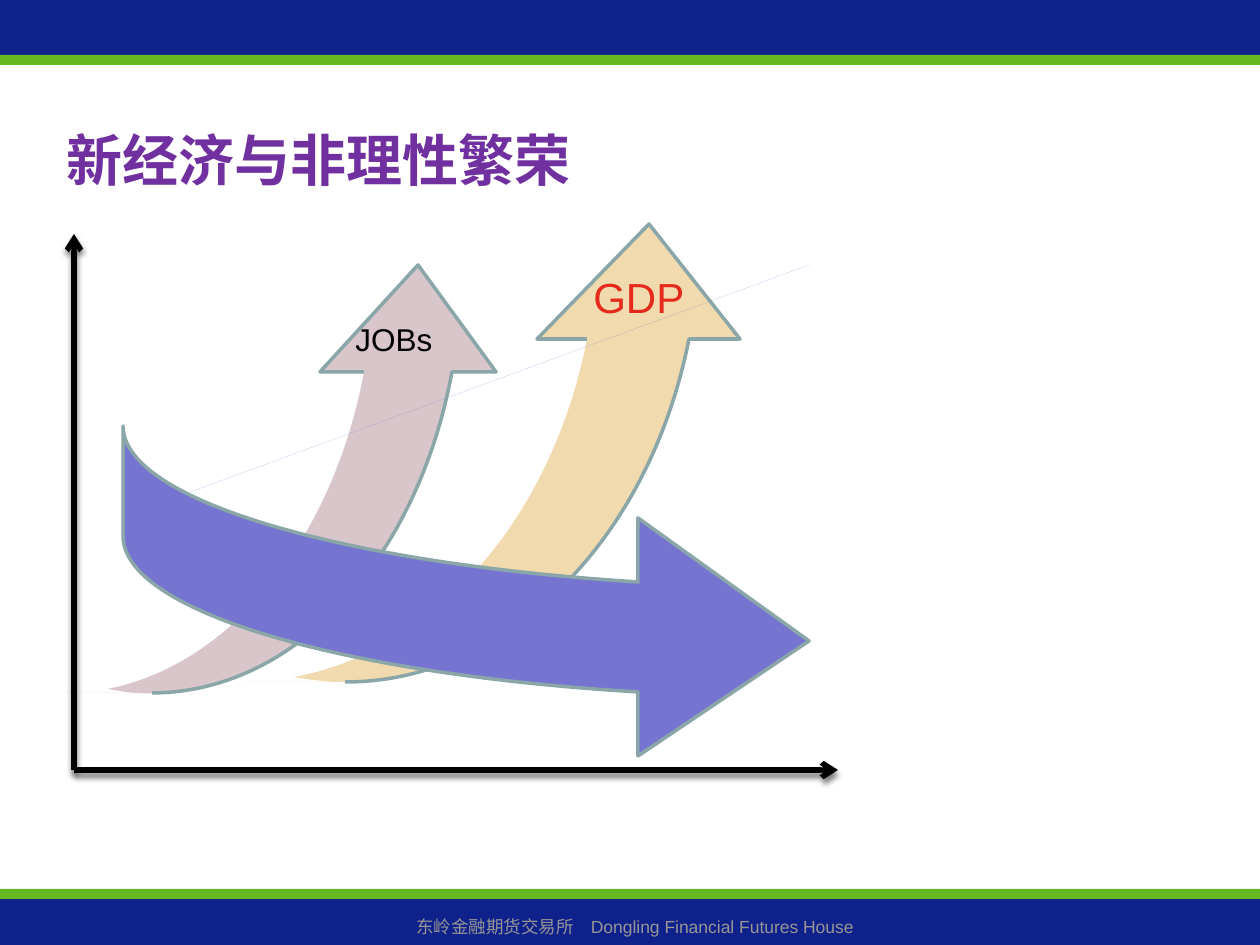
from lxml import etree
from pptx import Presentation
from pptx import util as u
from pptx.dml.color import RGBColor
from pptx.enum import shapes, text
from pptx.oxml import parse_xml
from pptx.oxml.ns import nsdecls, qn

PX = 914400 / 126
COLORS = {
    "navy": "0F218B", "green": "66B821", "purple": "7030A0", "grey": "969696",
    "sand": "F0DAAE", "rose": "D8C6CA", "violet": "7575D1", "edge": "8AA6A8",
    "red": "E5291B", "black": "000000",
}
LATIN, CJK = "Arial", "Noto Sans CJK SC"


def px(*lengths):
    return [u.Emu(round(length * PX)) for length in lengths]


def rgb(name):
    return RGBColor.from_string(COLORS[name])


class Page:
    """Holds the current slide and the style of its elements."""

    def __init__(self, slide):
        self.slide = slide
        self.shapes = slide.shapes

    def band(self, top, height, color):
        bar = self.shapes.add_shape(
            shapes.MSO_SHAPE.RECTANGLE, *px(0, top, 1260, height))
        bar.shadow.inherit = False
        bar.fill.solid()
        bar.fill.fore_color.rgb = rgb(color)
        bar.line.fill.background()

    def set_text(self, frame, wording, size, color, font=LATIN, bold=False,
                 align=text.PP_ALIGN.LEFT):
        frame.text = wording
        frame.word_wrap = True
        paragraph = frame.paragraphs[0]
        paragraph.alignment = align
        for run in paragraph.runs:
            run.font.name, run.font.size, run.font.bold = font, u.Pt(size), bold
            run.font.color.rgb = rgb(color)
            east_asian = etree.SubElement(run.font._element, qn("a:ea"))
            east_asian.set("typeface", CJK)

    def title(self, wording, box):
        heading = self.shapes.title
        heading.left, heading.top, heading.width, heading.height = px(*box)
        heading.text_frame.vertical_anchor = text.MSO_ANCHOR.MIDDLE
        self.set_text(heading.text_frame, wording, 32, "purple", CJK, True)

    def label(self, wording, box, size, color, **style):
        frame = self.shapes.add_textbox(*px(*box)).text_frame
        self.set_text(frame, wording, size, color, **style)

    def curved(self, color, body, sliver, outline, closed):
        """Draw filled contours and a stroked outline as one freeform.

        A step of two numbers is a line, a step of six a Bezier curve.
        """
        contours = [(body, True), (sliver, True), (outline, closed)]
        builder = self.shapes.build_freeform(*body[0], scale=PX)
        for number, (steps, close) in enumerate(contours):
            if number:
                builder.move_to(*steps[0])
            points = [step[i:i + 2] for step in steps[1:]
                      for i in range(0, len(step), 2)]
            builder.add_line_segments(points, close=close)
        arrow = builder.convert_to_shape()
        arrow.shadow.inherit = False
        arrow.fill.solid()
        arrow.fill.fore_color.rgb = rgb(color)
        arrow.line.color.rgb = rgb("edge")
        arrow.line.width = u.Pt(2)

        fill_path = next(arrow._element.iter(qn("a:path")))
        segments = iter(list(fill_path))
        for steps, close in contours:
            stroke_start = next(segments)
            for step in steps[1:]:
                first = next(segments)
                if len(step) == 6:
                    curve = etree.Element(qn("a:cubicBezTo"))
                    fill_path.replace(first, curve)
                    curve.append(first[0])
                    for _ in range(2):
                        control = next(segments)
                        curve.append(control[0])
                        fill_path.remove(control)
            if close:
                next(segments)
        stroke_path = etree.SubElement(
            fill_path.getparent(), qn("a:path"), dict(fill_path.attrib))
        for segment in list(fill_path)[fill_path.index(stroke_start):]:
            stroke_path.append(segment)
        fill_path.set("stroke", "0")
        stroke_path.set("fill", "none")

    def rising_arrow(self, color, head, shaft, sweeps, sliver, edge):
        left, tip, right = head
        shaft_left, shaft_right = shaft
        body = [tip, right, shaft_right, *sweeps, left]
        outline = [shaft_left, left, tip, right, shaft_right, edge]
        self.curved(color, body, sliver, outline, closed=False)

    def axis(self, start, end):
        line = self.shapes.add_connector(
            shapes.MSO_CONNECTOR.STRAIGHT, *px(*start, *end))
        line.line.color.rgb = rgb("black")
        line.line.width = u.Pt(3)
        etree.SubElement(line.line._get_or_add_ln(), qn("a:tailEnd"), type="arrow")
        line._element.spPr.append(parse_xml(
            f'<a:effectLst {nsdecls("a")}><a:outerShdw blurRad="{u.Pt(2.8)}" '
            f'dist="{u.Pt(2.5)}" dir="5400000" rotWithShape="0">'
            f'<a:srgbClr val="{COLORS["black"]}"><a:alpha val="50000"/></a:srgbClr>'
            '</a:outerShdw></a:effectLst>'))


def main():
    deck = Presentation()
    deck.slide_width, deck.slide_height = px(1260, 945)
    page = Page(deck.slides.add_slide(deck.slide_layouts[5]))

    for top, height, color in [(0, 55, "navy"), (889, 10, "green"),
                               (55, 10, "green"), (899, 46, "navy")]:
        page.band(top, height, color)
    page.label("东岭金融期货交易所　Dongling Financial Futures House",
               (10, 910, 1250, 34), 10, "grey", align=text.PP_ALIGN.CENTER)
    page.title("新经济与非理性繁荣", (54, 115, 873, 89))

    page.rising_arrow(
        "sand", head=[(537, 339), (649, 224), (740, 339)],
        shaft=[(587, 339), (689, 339)],
        sweeps=[(644, 564, 474, 711, 294, 677), (436, 651, 552, 518, 587, 339)],
        sliver=[(243, 682), (345, 682)], edge=(649, 541, 507, 682, 345, 682))
    page.rising_arrow(
        "rose", head=[(320, 372), (418, 265), (496, 372)],
        shaft=[(364, 372), (452, 372)],
        sweeps=[(413, 583, 265, 721, 108, 689), (232, 664, 333, 539, 364, 372)],
        sliver=[(64, 693), (152, 693)], edge=(417, 561, 294, 693, 152, 693))
    page.label("GDP", (581, 265, 139, 63), 24, "red")
    page.label("JOBs", (343, 314, 118, 50), 18, "black")

    falling = [(123, 426), (123, 499, 335, 563, 638, 582), (638, 518), (809, 641),
               (638, 756), (638, 692), (335, 674, 123, 610, 123, 536)]
    page.curved("violet", falling, [(809, 265), (185, 494)], falling, closed=True)

    origin = (74, 770)
    for end in [(838, 770), (74, 234)]:
        page.axis(origin, end)
    deck.save("out.pptx")


if __name__ == "__main__":
    main()
